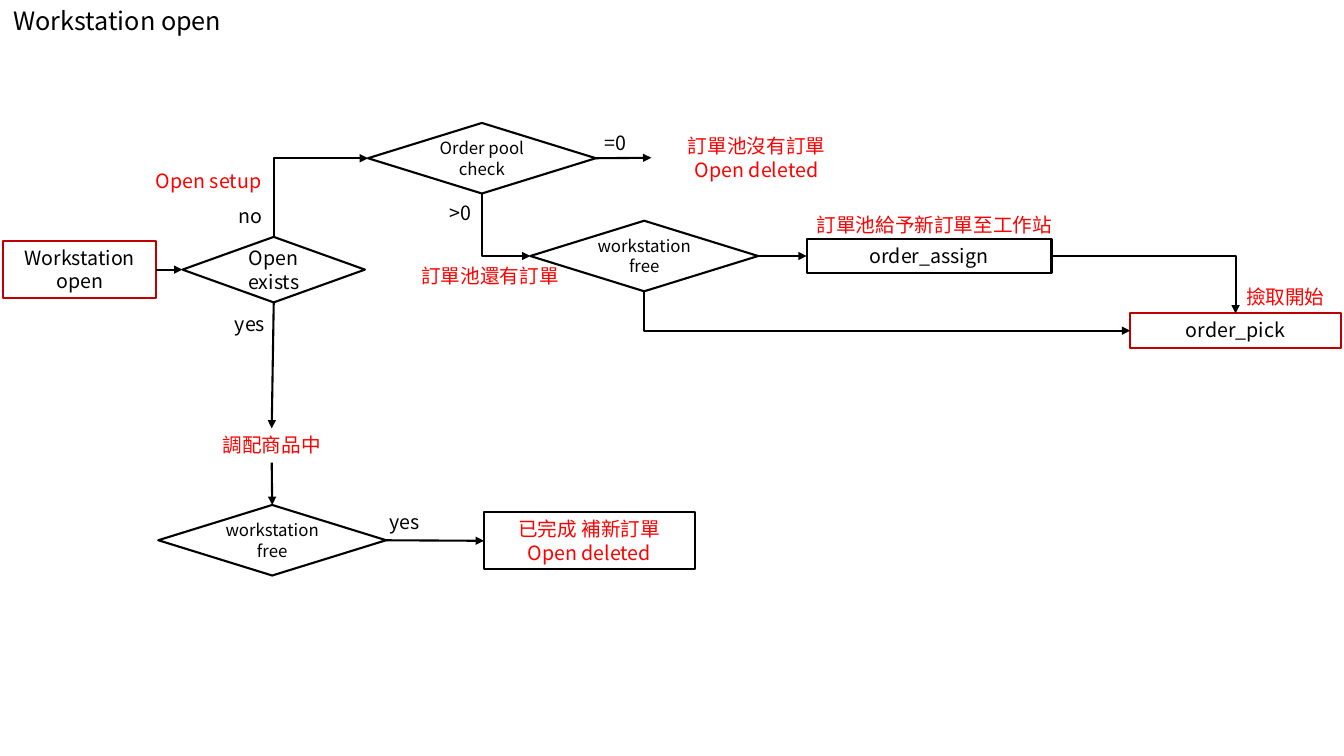
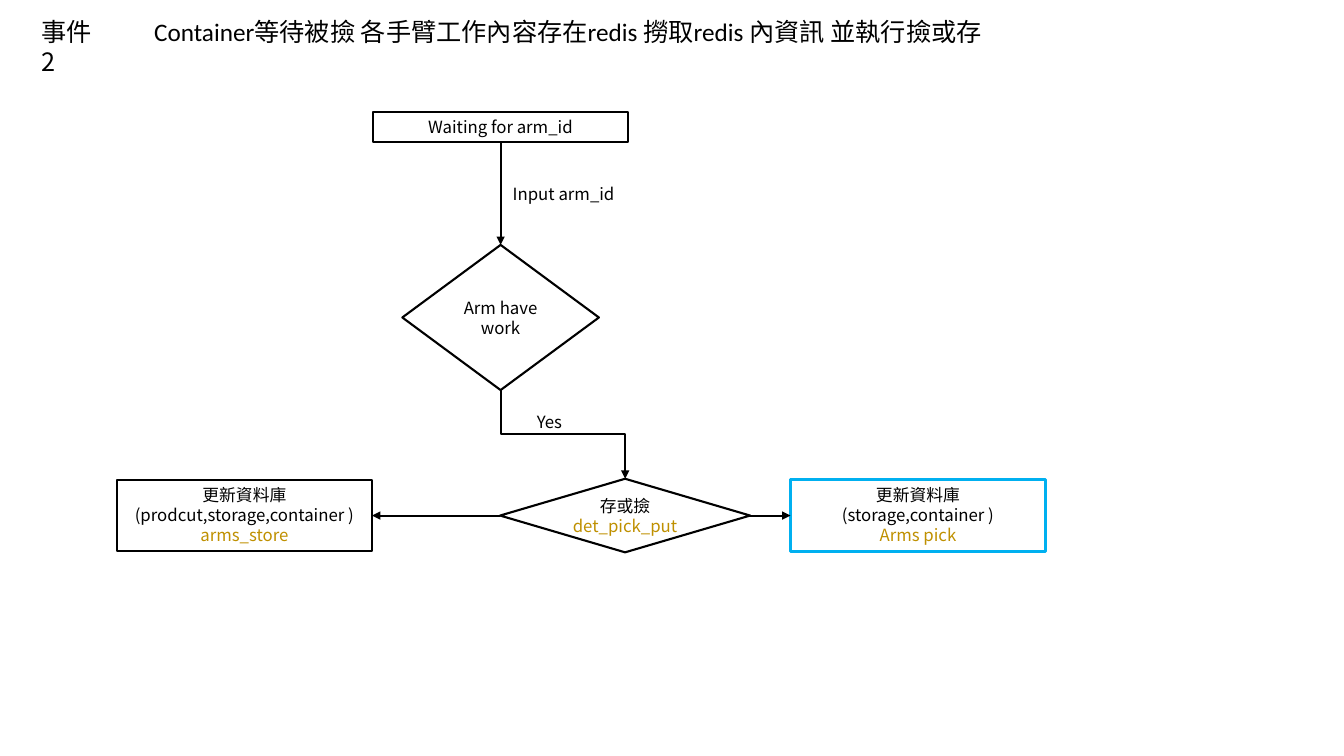
from lxml import etree
from pptx import Presentation
from pptx.dml.color import RGBColor
from pptx.enum.shapes import MSO_CONNECTOR, MSO_SHAPE
from pptx.enum.text import MSO_ANCHOR, PP_ALIGN
from pptx.oxml.ns import qn
from pptx.util import Inches, Pt

RECTANGLE, DECISION = MSO_SHAPE.RECTANGLE, MSO_SHAPE.FLOWCHART_DECISION
STRAIGHT, ELBOW = MSO_CONNECTOR.STRAIGHT, MSO_CONNECTOR.ELBOW
CENTER, LEFT_ALIGN = PP_ALIGN.CENTER, PP_ALIGN.LEFT
MIDDLE, UPPER = MSO_ANCHOR.MIDDLE, MSO_ANCHOR.TOP
TOP, LEFT, BOTTOM, RIGHT = range(4)

BLACK, WHITE, RED = "000000", "FFFFFF", "FF0000"
DARK_RED, GOLD, BLUE = "C00000", "BF9000", "00B0F0"
CJK_FONT = "Noto Sans CJK TC"


def color(value):
    return RGBColor.from_string(value)


class FlowChart:
    """Draw flow charts in one style, one page at a time."""

    def __init__(self):
        self.deck = Presentation()
        self.deck.slide_width = Inches(13.33)
        self.deck.slide_height = Inches(7.5)

    def new_page(self, size, fill=None):
        self.page = self.deck.slides.add_slide(self.deck.slide_layouts[6])
        self.size = size
        self.fill = fill

    def set_text(self, box, lines, ink=BLACK, last_ink=None, align=CENTER,
                 size=None, font=CJK_FONT, wrap=True, anchor=UPPER):
        frame = box.text_frame
        frame.word_wrap = wrap
        frame.vertical_anchor = anchor
        style = {"size": Pt(size or self.size), "name": font}
        for index, line in enumerate(lines):
            para = frame.add_paragraph() if index else frame.paragraphs[0]
            para.text = line
            para.alignment = align
            is_last = index == len(lines) - 1
            for span in para.runs:
                for name, value in style.items():
                    setattr(span.font, name, value)
                span.font.color.rgb = color(last_ink if last_ink and is_last else ink)
                east_asian = etree.SubElement(span.font._element, qn("a:ea"))
                east_asian.set("typeface", CJK_FONT)

    def label(self, place, *lines, **style):
        box = self.page.shapes.add_textbox(*map(Inches, place))
        self.set_text(box, lines, **style)
        return box

    def title(self, place, line, **style):
        return self.label(place, line, size=18, **style)

    def node(self, kind, place, *lines, edge=BLACK, weight=1.5, **style):
        box = self.page.shapes.add_shape(kind, *map(Inches, place))
        box.shadow.inherit = False
        if self.fill:
            box.fill.solid()
            box.fill.fore_color.rgb = color(self.fill)
        else:
            box.fill.background()
        box.line.color.rgb = color(edge)
        box.line.width = Pt(weight)
        self.set_text(box, lines, anchor=MIDDLE if kind == DECISION else UPPER, **style)
        return box

    def step(self, place, *lines, **style):
        return self.node(RECTANGLE, place, *lines, **style)

    def decision(self, place, *lines, **style):
        return self.node(DECISION, place, *lines, **style)

    def side(self, box, index):
        across = {LEFT: 0, RIGHT: box.width}.get(index, box.width // 2)
        down = {TOP: 0, BOTTOM: box.height}.get(index, box.height // 2)
        return box.left + across, box.top + down

    def connector(self, kind, start, end):
        line = self.page.shapes.add_connector(kind, *start, *end)
        line.line.color.rgb = color(BLACK)
        line.line.width = Pt(1.5)
        properties = line._element.spPr
        etree.SubElement(properties.find(qn("a:ln")), qn("a:tailEnd")).set("type", "triangle")
        etree.SubElement(properties, qn("a:effectLst"))
        return line

    def arrow(self, source, source_side, target, target_side):
        line = self.connector(STRAIGHT, self.side(source, source_side),
                              self.side(target, target_side))
        line.begin_connect(source, source_side)
        line.end_connect(target, target_side)

    def elbow(self, source, source_side, target, target_side):
        start, end = self.side(source, source_side), self.side(target, target_side)
        upright = source_side in (TOP, BOTTOM)
        rotation = 0
        if upright:
            downward = end[1] > start[1]
            rotation = 270 if downward else 90
            middle_x, middle_y = (start[0] + end[0]) // 2, (start[1] + end[1]) // 2
            half_width = abs(end[1] - start[1]) // 2
            half_height = (end[0] - start[0]) // 2 * (1 if downward else -1)
            start = middle_x + half_width, middle_y - half_height
            end = middle_x - half_width, middle_y + half_height
        line = self.connector(ELBOW, start, end)
        properties = line._element.spPr
        if rotation:
            properties.find(qn("a:xfrm")).set("rot", str(rotation * 60000))
        if upright != (target_side in (TOP, BOTTOM)):
            properties.find(qn("a:prstGeom")).set("prst", "bentConnector2")


def draw_workstation(chart):
    chart.new_page(14)
    chart.title((0, 0, 2.33, 0.4), "Workstation open", wrap=False)

    opening = chart.step((0.03, 2.39, 1.52, 0.57), "Workstation open", edge=DARK_RED)
    exists = chart.decision((1.81, 2.35, 1.81, 0.65), "Open", "exists")
    pool, refill, free = [
        chart.decision((left, top, 2.26, 0.7), line, size=12)
        for left, top, line in (
            (3.65, 1.22, "Order pool check"),
            (1.57, 5.01, "workstation\vfree"),
            (5.26, 2.19, "workstation\vfree"),
        )
    ]
    assign = chart.step((8, 2.37, 2.43, 0.34), "order_assign")
    pick = chart.step((11.21, 3.11, 2.09, 0.34), "order_pick", edge=DARK_RED)
    done = chart.step((4.8, 5.08, 2.09, 0.57), "已完成 補新訂單", "Open deleted", ink=RED)
    mixing = chart.label((1.65, 4.25, 2.09, 0.34), "調配商品中", ink=RED)
    empty = chart.label((6.46, 1.28, 2.09, 0.57), "訂單池沒有訂單", "Open deleted", ink=RED)

    for left, top, line in (
        (2.19, 3.05, "yes"),
        (2.19, 1.97, "no"),
        (3.72, 5.01, "yes"),
        (4.28, 1.94, ">0"),
        (5.81, 1.25, "=0"),
    ):
        chart.label((left, top, 0.58, 0.34), line)
    for left, top, width, line, align in (
        (12.26, 2.78, 0.99, "撿取開始", LEFT_ALIGN),
        (8, 2.06, 2.56, "訂單池給予新訂單至工作站", LEFT_ALIGN),
        (1.43, 1.63, 1.28, "Open setup", CENTER),
        (4.07, 2.57, 1.58, "訂單池還有訂單", CENTER),
    ):
        chart.label((left, top, width, 0.34), line, ink=RED, align=align, wrap=False)

    for source, source_side, target, target_side in (
        (opening, RIGHT, exists, LEFT),
        (exists, BOTTOM, mixing, TOP),
        (mixing, BOTTOM, refill, TOP),
        (refill, RIGHT, done, LEFT),
        (pool, RIGHT, empty, LEFT),
        (free, RIGHT, assign, LEFT),
    ):
        chart.arrow(source, source_side, target, target_side)
    for source, source_side, target, target_side in (
        (exists, TOP, pool, LEFT),
        (pool, BOTTOM, free, LEFT),
        (free, BOTTOM, pick, LEFT),
        (assign, RIGHT, pick, TOP),
    ):
        chart.elbow(source, source_side, target, target_side)


def draw_arms(chart):
    chart.new_page(12, WHITE)
    chart.title((0.31, 0.11, 0.85, 0.4), "事件\v2", align=LEFT_ALIGN, wrap=False)
    chart.title((1.43, 0.11, 11.42, 0.4),
                "Container等待被撿 各手臂工作內容存在redis 撈取redis 內資訊 並執行撿或存",
                align=LEFT_ALIGN, font="Calibri")

    waiting = chart.step((3.7, 1.11, 2.53, 0.3), "Waiting for arm_id")
    work = chart.decision((3.99, 2.43, 1.95, 1.44), "Arm have work")
    choice = chart.decision((4.96, 4.75, 2.48, 0.73), "存或撿", "det_pick_put", last_ink=GOLD)
    store = chart.step((1.16, 4.76, 2.53, 0.71), "更新資料庫",
                       "(prodcut,storage,container )", "arms_store", last_ink=GOLD)
    pick = chart.step((7.84, 4.76, 2.53, 0.71), "更新資料庫",
                      "(storage,container )", "Arms pick", last_ink=GOLD,
                      edge=BLUE, weight=2.25)
    chart.label((4.75, 1.77, 1.68, 0.3), "Input arm_id")
    chart.label((5.18, 4.04, 0.54, 0.3), "Yes")

    chart.arrow(waiting, BOTTOM, work, TOP)
    chart.arrow(choice, LEFT, store, RIGHT)
    chart.arrow(choice, RIGHT, pick, LEFT)
    chart.elbow(work, BOTTOM, choice, TOP)


def main():
    chart = FlowChart()
    draw_workstation(chart)
    draw_arms(chart)
    chart.deck.save("out.pptx")


if __name__ == "__main__":
    main()
